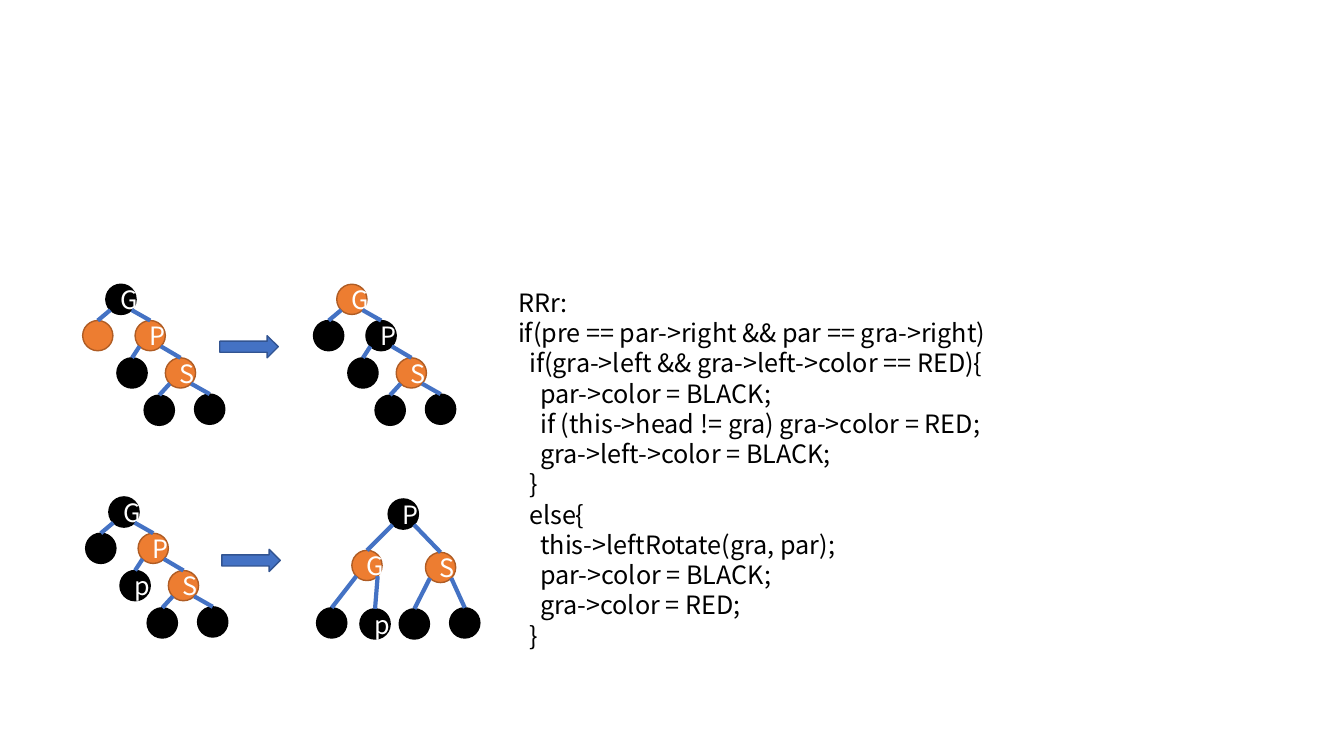
from dataclasses import dataclass

from lxml import etree
from pptx import Presentation
from pptx import util as u
from pptx.dml.color import RGBColor
from pptx.enum import shapes, text
from pptx.oxml.ns import qn


@dataclass(frozen=True)
class Theme:
    font: str = "Noto Sans CJK SC"
    size: float = 18
    leading: float = 21.6
    ink: str = "000000"
    paper: str = "FFFFFF"
    red: str = "ED7D31"
    red_line: str = "AF5C24"
    blue: str = "4472C4"
    blue_line: str = "325491"
    outline: float = 1
    edge: float = 3


def grid(n):
    """Length of n cells; the slide is 133.3 columns by 75 rows."""
    return u.Inches(n / 10)


class Board:
    NODE = 3        # node diameter in cells
    CORNER = 1.06   # centre to the 45-degree point of a node

    def __init__(self, slide, theme):
        self.s, self.theme = slide, theme

    def paint(self, sp, fill, line):
        sp.shadow.inherit = False
        sp.fill.solid()
        sp.fill.fore_color.rgb = RGBColor.from_string(fill)
        sp.line.color.rgb = RGBColor.from_string(line)
        sp.line.width = u.Pt(self.theme.outline)

    def add_words(self, p, words, colour, align):
        p.alignment = align
        p.line_spacing = u.Pt(self.theme.leading)
        r = p.add_run()
        r.text = words
        for key, value in {"name": self.theme.font, "size": u.Pt(self.theme.size)}.items():
            setattr(r.font, key, value)
        r.font.color.rgb = RGBColor.from_string(colour)

    def node(self, group, x, y, label, red):
        t = self.theme
        sp = group.shapes.add_shape(shapes.MSO_SHAPE.OVAL, grid(x), grid(y),
                                    grid(self.NODE), grid(self.NODE))
        self.paint(sp, *((t.red, t.red_line) if red else (t.ink, t.ink)))
        if label:
            tf = sp.text_frame
            tf.vertical_anchor = text.MSO_ANCHOR.MIDDLE
            self.add_words(tf.paragraphs[0], label, t.paper, text.PP_ALIGN.CENTER)
        return sp

    def edge(self, group, parent, child):
        """Line from a lower corner of the parent to the top of the child."""
        side = 1 if child.left > parent.left else -1
        x = parent.left + parent.width // 2 + side * grid(self.CORNER)
        y = parent.top + parent.height // 2 + grid(self.CORNER)
        c = group.shapes.add_connector(shapes.MSO_CONNECTOR.STRAIGHT, x, y,
                                       child.left + child.width // 2, child.top)
        c.end_connect(child, 0)
        c.line.color.rgb = RGBColor.from_string(self.theme.blue)
        c.line.width = u.Pt(self.theme.edge)
        etree.SubElement(c._element.spPr, qn("a:effectLst"))

    def tree(self, x, y, places, edges, labels, reds):
        group = self.s.shapes.add_group_shape()
        nodes = [self.node(group, x + dx, y + dy, label.strip("."), i in reds)
                 for i, ((dx, dy), label) in enumerate(zip(places, labels))]
        for parent, child in edges:
            self.edge(group, nodes[parent], nodes[child])

    def arrow(self, x, y):
        sp = self.s.shapes.add_shape(shapes.MSO_SHAPE.RIGHT_ARROW,
                                     grid(x), grid(y), grid(5.8), grid(2.2))
        self.paint(sp, self.theme.blue, self.theme.blue_line)

    def code(self, x, y, w, h, lines):
        tf = self.s.shapes.add_textbox(grid(x), grid(y), grid(w), grid(h)).text_frame
        tf.word_wrap = True
        for i, (level, words) in enumerate(lines):
            p = tf.paragraphs[0] if i == 0 else tf.add_paragraph()
            self.add_words(p, words, self.theme.ink, text.PP_ALIGN.LEFT)
            pPr = p._p.get_or_add_pPr()
            for key, value in {"marL": grid(1.1 * level), "indent": 0}.items():
                pPr.set(key, str(int(value)))


# Node order in both: grandparent, parent, uncle, son, sibling, right leaf, left leaf
LEANING = [(2.3, 0), (5.2, 3.6), (0, 3.6), (8.2, 7.3), (3.4, 7.3), (11.1, 10.9), (6.1, 11)]
LEANING_EDGES = [(0, 1), (0, 2), (1, 3), (1, 4), (3, 6), (3, 5)]

ROTATED = [(3.5, 5.1), (7.1, 0), (0, 10.8), (10.8, 5.3), (4.3, 10.9), (13.2, 10.8), (8.2, 10.9)]
ROTATED_EDGES = [(1, 0), (0, 2), (1, 3), (0, 4), (3, 6), (3, 5)]

CODE = [
    (0, "RRr:"),
    (0, "if(pre == par->right && par == gra->right)"),
    (1, "if(gra->left && gra->left->color == RED){"),
    (2, "par->color = BLACK;"),
    (2, "if (this->head != gra) gra->color = RED;"),
    (2, "gra->left->color = BLACK;"),
    (1, "}"),
    (1, "else{"),
    (2, "this->leftRotate(gra, par);"),
    (2, "par->color = BLACK;"),
    (2, "gra->color = RED;"),
    (1, "}"),
]


def main():
    prs = Presentation()
    prs.slide_width, prs.slide_height = u.Inches(13.33), u.Inches(7.5)
    board = Board(prs.slides.add_slide(prs.slide_layouts[6]), Theme())

    # Red uncle: recolour
    board.tree(8.2, 28.2, LEANING, LEANING_EDGES, "GP.S...", {1, 2, 3})
    board.arrow(21.8, 33.3)
    board.tree(31.1, 28.2, LEANING, LEANING_EDGES, "GP.S...", {0, 3})

    # Code for both cases
    board.code(50.4, 28, 67, 37.4, CODE)

    # Black uncle: rotate left
    board.tree(8.5, 49.3, LEANING, LEANING_EDGES, "GP.Sp..", {1, 3})
    board.arrow(22, 54.5)
    board.tree(31.4, 49.5, ROTATED, ROTATED_EDGES, "GP.Sp..", {0, 3})

    prs.save("out.pptx")


if __name__ == "__main__":
    main()
